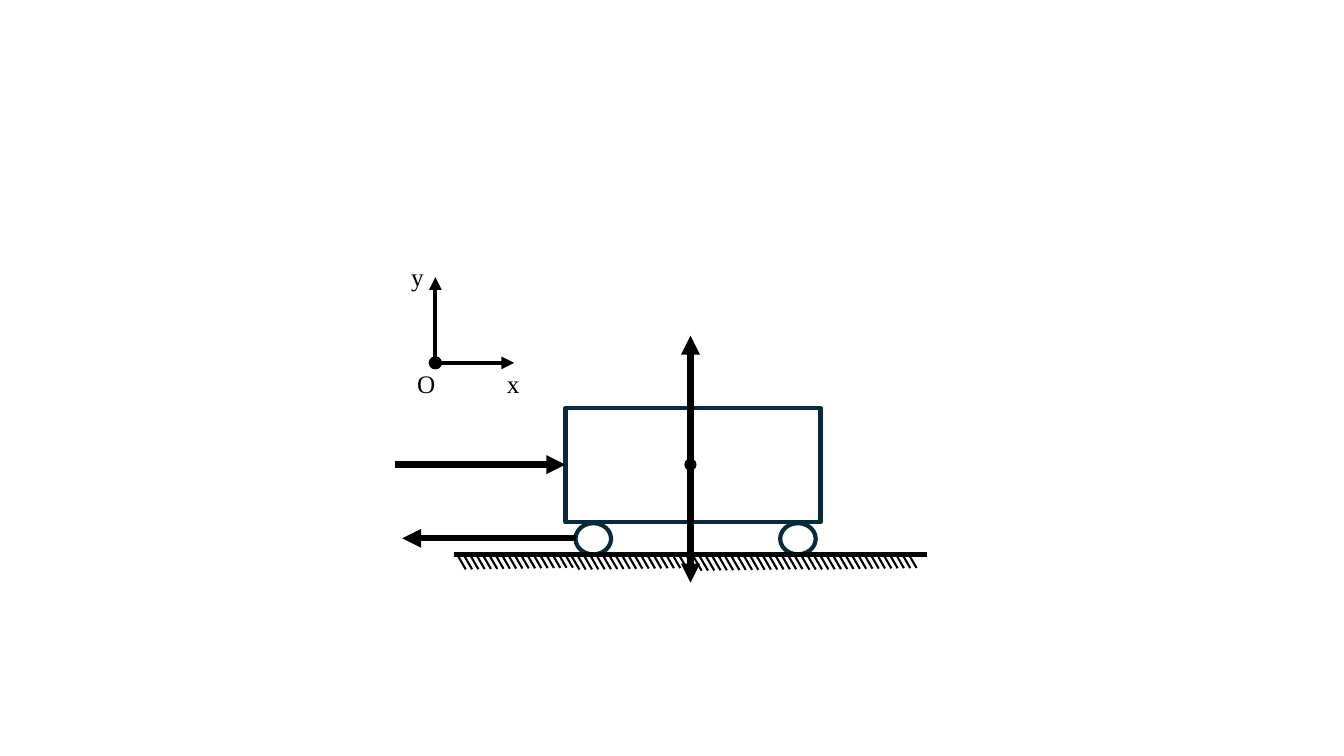
from dataclasses import dataclass

import lxml.etree
import pptx
import pptx.dml.color
import pptx.enum.shapes
import pptx.enum.text
import pptx.oxml.ns
import pptx.shapes.connector
import pptx.shapes.shapetree
import pptx.util

Pt = pptx.util.Pt
qn = pptx.oxml.ns.qn
RGBColor = pptx.dml.color.RGBColor
Kind = pptx.enum.shapes.MSO_SHAPE
Shapes = pptx.shapes.shapetree._BaseGroupShapes

BLACK = RGBColor(0x00, 0x00, 0x00)
WHITE = RGBColor(0xFF, 0xFF, 0xFF)
NAVY = RGBColor(0x09, 0x2A, 0x39)
FONT = "Times New Roman"


@dataclass
class Part:
    kind: Kind
    left: float
    top: float
    width: float
    height: float
    fill: RGBColor = WHITE
    edge: RGBColor = NAVY
    weight: float = 3


@dataclass
class Line:
    x1: float
    y1: float
    x2: float
    y2: float
    weight: float
    arrow: bool = True


@dataclass
class Label:
    text: str
    left: float
    top: float


@dataclass
class Hatch:
    left: float
    top: float


def draw_part(shapes: Shapes, part: Part) -> None:
    shape = shapes.add_shape(part.kind, Pt(part.left), Pt(part.top),
                             Pt(part.width), Pt(part.height))
    shape.shadow.inherit = False
    shape.fill.solid()
    shape.fill.fore_color.rgb = part.fill
    shape.line.color.rgb = part.edge
    shape.line.width = Pt(part.weight)


def draw_line(shapes: Shapes, line: Line) -> None:
    link = shapes.add_connector(pptx.enum.shapes.MSO_CONNECTOR.STRAIGHT,
                                Pt(line.x1), Pt(line.y1), Pt(line.x2), Pt(line.y2))
    link.line.color.rgb = BLACK
    link.line.width = Pt(line.weight)
    props = link.element.spPr
    if line.arrow:
        lxml.etree.SubElement(props.find(qn("a:ln")), qn("a:tailEnd"), type="triangle")
    lxml.etree.SubElement(props, qn("a:effectLst"))


def draw_label(shapes: Shapes, label: Label) -> None:
    box = shapes.add_textbox(Pt(label.left), Pt(label.top), Pt(39.6), Pt(28.8))
    frame = box.text_frame
    frame.word_wrap = True
    frame.auto_size = pptx.enum.text.MSO_AUTO_SIZE.SHAPE_TO_FIT_TEXT
    run = frame.paragraphs[0].add_run()
    run.text = label.text
    run.font.name = FONT
    run.font.size = Pt(18)
    run.font.color.rgb = BLACK


def draw_hatch(shapes: Shapes, hatch: Hatch) -> None:
    count, step, drift = 18, 4.5, 0.07
    for i in range(count):
        x, y = hatch.left + i * step, hatch.top - i * drift
        draw_line(shapes, Line(x, y, x + 6.3, y + 10.9, 1.5, arrow=False))


# Cart with its centre of mass
MID_X, MID_Y = 493.2, 331.9
CART = [
    Part(Kind.RECTANGLE, 403.9, 291.6, 182.2, 81.4),
    Part(Kind.OVAL, MID_X - 3.6, MID_Y - 3.6, 7.2, 7.2, BLACK, BLACK, 1.5),
    Part(Kind.OVAL, 411.1, 373.7, 25.4, 22.3),
    Part(Kind.OVAL, 557.3, 373.7, 25.4, 22.3),
]

# Axes
ZERO_X, ZERO_Y = 311, 259.2
AXES = [
    Line(ZERO_X, ZERO_Y, ZERO_X, 198, 3),
    Line(ZERO_X, ZERO_Y, 367.2, ZERO_Y, 3),
]
ZERO = Part(Kind.OVAL, ZERO_X - 4, ZERO_Y - 4, 8, 8, BLACK, BLACK, 1.5)
LABELS = [
    Label("O", 290.9, ZERO_Y),
    Label("y", 286.6, 182.9),
    Label("x", 355, ZERO_Y),
]

# Forces
FORCES = [
    Line(282.2, MID_Y, 403.9, MID_Y, 4.5),
    Line(MID_X, MID_Y, MID_X, 416.2, 4.5),
    Line(MID_X, MID_Y, MID_X, 239.8, 4.5),
    Line(411.1, 384.5, 287.3, 384.5, 4.5),
]

# Ground
GROUND = Line(324, 396, 662.4, 396, 3, arrow=False)
HATCHES = [
    Hatch(326.4, 395.8),
    Hatch(407.6, 396),
    Hatch(490.4, 396.8),
    Hatch(571.9, 396),
]


def main() -> None:
    deck = pptx.Presentation()
    deck.slide_width, deck.slide_height = Pt(960), Pt(540)
    shapes = deck.slides.add_slide(deck.slide_layouts[6]).shapes

    cart = shapes.add_group_shape().shapes
    for part in CART:
        draw_part(cart, part)

    axes = shapes.add_group_shape().shapes
    for line in AXES:
        draw_line(axes, line)
    draw_part(axes, ZERO)
    for label in LABELS:
        draw_label(axes, label)

    for line in FORCES + [GROUND]:
        draw_line(shapes, line)
    for hatch in HATCHES:
        draw_hatch(shapes.add_group_shape().shapes, hatch)

    deck.save("out.pptx")


if __name__ == "__main__":
    main()
